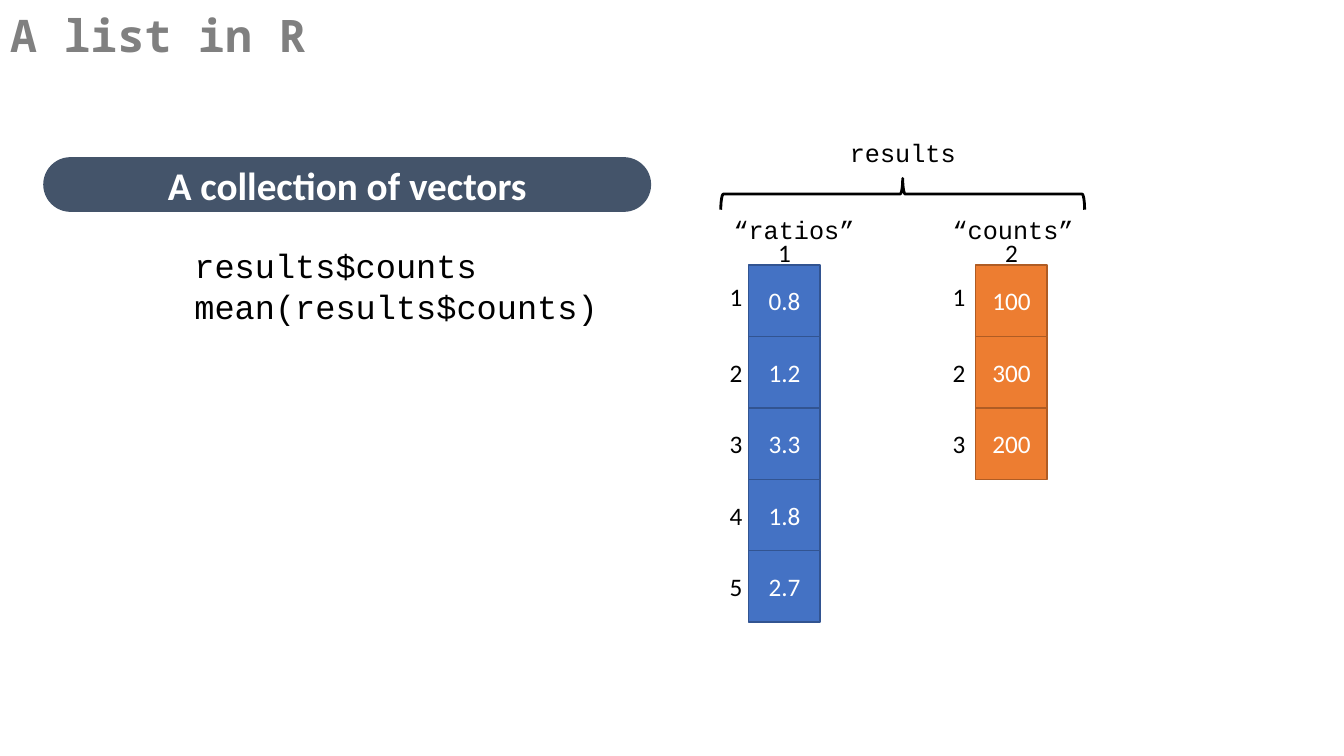
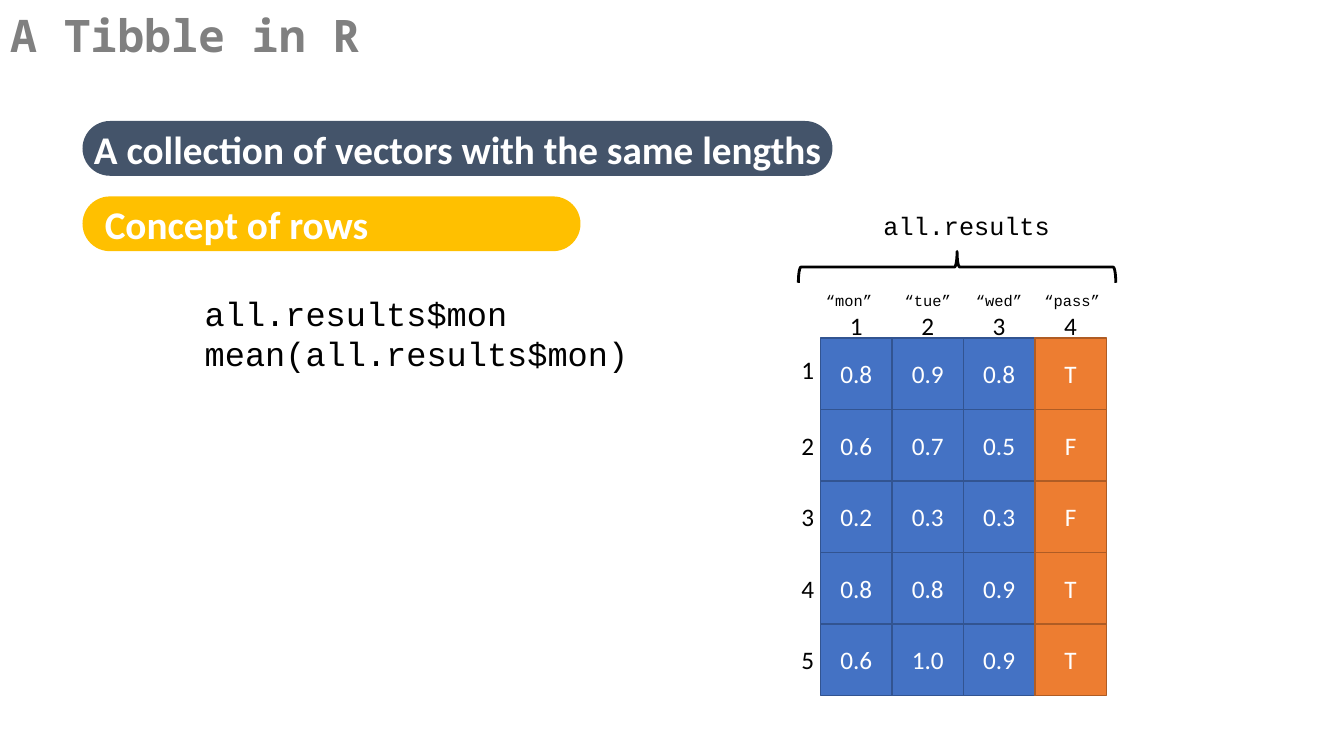
"""Build two slides that show a list and a tibble in R as columns of cells."""
from pptx import Presentation
from pptx import util as u
from pptx.dml.color import RGBColor
from pptx.enum import shapes, text

COLORS = {
    "title": "808080", "black": "000000", "white": "FFFFFF",
    "slate": "44546A", "gold": "FFC000",
    "blue": "4472C4", "blue_edge": "325491",
    "orange": "ED7D31", "orange_edge": "AF5C24",
}
SANS, MONO, TITLE_FONT = "Calibri", "Courier New", "Noto Sans Mono"
CELL = 1.8
LEFT, CENTER = text.PP_ALIGN.LEFT, text.PP_ALIGN.CENTER

SLIDES = [
    {
        "title": "A list in R",
        "pills": [("A collection of vectors", 1.09, 3.96, 15.32, "slate", CENTER)],
        "code": ("results$counts\nmean(results$counts)", 4.9, 7.2),
        "variable": ("results", 22.75),
        "brace": (22.75, 9.17),
        "top": 6.68,
        "name_size": 18,
        "name_rise": 0.89,
        "columns": [
            ("“ratios”", 18.87, 0.24, 0.32, "blue", ["0.8", "1.2", "3.3", "1.8", "2.7"]),
            ("“counts”", 24.59, 0.04, 0.42, "orange", ["100", "300", "200"]),
        ],
    },
    {
        "title": "A Tibble in R",
        "pills": [
            ("A collection of vectors with the same lengths", 2.08, 3.05, 18.9, "slate", CENTER),
            ("Concept of rows", 2.08, 4.95, 12.55, "gold", LEFT),
        ],
        "code": ("all.results$mon\nmean(all.results$mon)", 5.16, 8.39),
        "variable": ("all.results", 24.36),
        "brace": (24.12, 8),
        "top": 8.52,
        "name_size": 11,
        "name_rise": 0.95,
        "columns": [
            ("“mon”", 20.68, -0.18, 0.32, "blue", ["0.8", "0.6", "0.2", "0.8", "0.6"]),
            ("“tue”", 20.68 + CELL, 0, None, "blue", ["0.9", "0.7", "0.3", "0.8", "1.0"]),
            ("“wed”", 20.68 + 2 * CELL, 0, None, "blue", ["0.8", "0.5", "0.3", "0.9", "0.9"]),
            ("“pass”", 20.68 + 3 * CELL, 0.04, None, "orange", ["T", "F", "F", "T", "T"]),
        ],
    },
]


def write(shape, words, size, font, color, align=CENTER, bold=False):
    """Fill a shape with formatted, vertically centred text."""
    frame = shape.text_frame
    frame.text = words
    frame.word_wrap = True
    frame.vertical_anchor = text.MSO_ANCHOR.MIDDLE
    frame.margin_left = frame.margin_right = frame.margin_top = frame.margin_bottom = 0
    for para in frame.paragraphs:
        para.alignment = align
        for span in para.runs:
            span.font.size = u.Pt(size)
            span.font.name = font
            span.font.bold = bold
            span.font.color.rgb = RGBColor.from_string(COLORS[color])


def add_label(page, words, x, y, size, font, width=6):
    """Add a one-line text box centred on a point."""
    box = page.shapes.add_textbox(u.Cm(x - width / 2), u.Cm(y - 0.5), u.Cm(width), u.Cm(1))
    write(box, words, size, font, "black")


deck = Presentation()
deck.slide_width, deck.slide_height = u.Cm(33.87), u.Cm(19.05)
layout = deck.slide_layouts[5]
heading = layout.placeholders[0]
heading.left, heading.top, heading.width, heading.height = u.Cm(0), u.Cm(0.23), u.Cm(33.43), u.Cm(3.48)
heading.text_frame.vertical_anchor = text.MSO_ANCHOR.TOP
heading.text_frame.auto_size = text.MSO_AUTO_SIZE.NONE

for content in SLIDES:
    page = deck.slides.add_slide(layout)
    page.shapes.title.text_frame.text = content["title"]
    para = page.shapes.title.text_frame.paragraphs[0]
    para.alignment = LEFT
    para.line_spacing = 0.9
    span = para.runs[0]
    span.font.size = u.Pt(32)
    span.font.name = TITLE_FONT
    span.font.bold = True
    span.font.color.rgb = RGBColor.from_string(COLORS["title"])

    for words, left, top, width, fill, align in content["pills"]:
        pill = page.shapes.add_shape(shapes.MSO_SHAPE.ROUNDED_RECTANGLE,
                                     u.Cm(left), u.Cm(top), u.Cm(width), u.Cm(1.38))
        pill.adjustments[0] = 0.5
        pill.shadow.inherit = False
        pill.fill.solid()
        pill.fill.fore_color.rgb = RGBColor.from_string(COLORS[fill])
        pill.line.fill.background()
        write(pill, words, 28, SANS, "white", align, bold=True)
        if align == LEFT:
            pill.text_frame.margin_left = u.Cm(0.36)
        else:
            pill.text_frame.word_wrap = False

    words, left, middle = content["code"]
    box = page.shapes.add_textbox(u.Cm(left), u.Cm(middle - 1.1), u.Cm(12), u.Cm(2.2))
    write(box, words, 24, MONO, "black", LEFT)

    top = content["top"]
    words, middle = content["variable"]
    add_label(page, words, middle, top - 2.85, 18, MONO)

    middle, span_width = content["brace"]
    depth = 0.79
    brace = page.shapes.add_shape(shapes.MSO_SHAPE.RIGHT_BRACE,
                                  u.Cm(middle - depth / 2), u.Cm(top - 1.79 - span_width / 2),
                                  u.Cm(depth), u.Cm(span_width))
    brace.rotation = 270
    brace.shadow.inherit = False
    brace.fill.background()
    brace.line.color.rgb = RGBColor.from_string(COLORS["black"])
    brace.line.width = u.Pt(2)

    for number, (name, left, nudge, row_gap, fill, values) in enumerate(content["columns"], 1):
        middle = left + CELL / 2
        add_label(page, name, middle + nudge, top - content["name_rise"],
                  content["name_size"], MONO)
        add_label(page, str(number), middle, top - 0.33, 18, SANS, 1)
        for row, value in enumerate(values):
            cell_top = top + row * CELL
            cell = page.shapes.add_shape(shapes.MSO_SHAPE.RECTANGLE,
                                         u.Cm(left), u.Cm(cell_top), u.Cm(CELL), u.Cm(CELL))
            cell.shadow.inherit = False
            cell.fill.solid()
            cell.fill.fore_color.rgb = RGBColor.from_string(COLORS[fill])
            cell.line.color.rgb = RGBColor.from_string(COLORS[fill + "_edge"])
            cell.line.width = u.Pt(1)
            write(cell, value, 18, SANS, "white")
            if row_gap is not None:
                lift = 0 if row else 0.11
                add_label(page, str(row + 1), left - row_gap, cell_top + CELL / 2 - lift,
                          18, SANS, 1)

deck.save("out.pptx")
